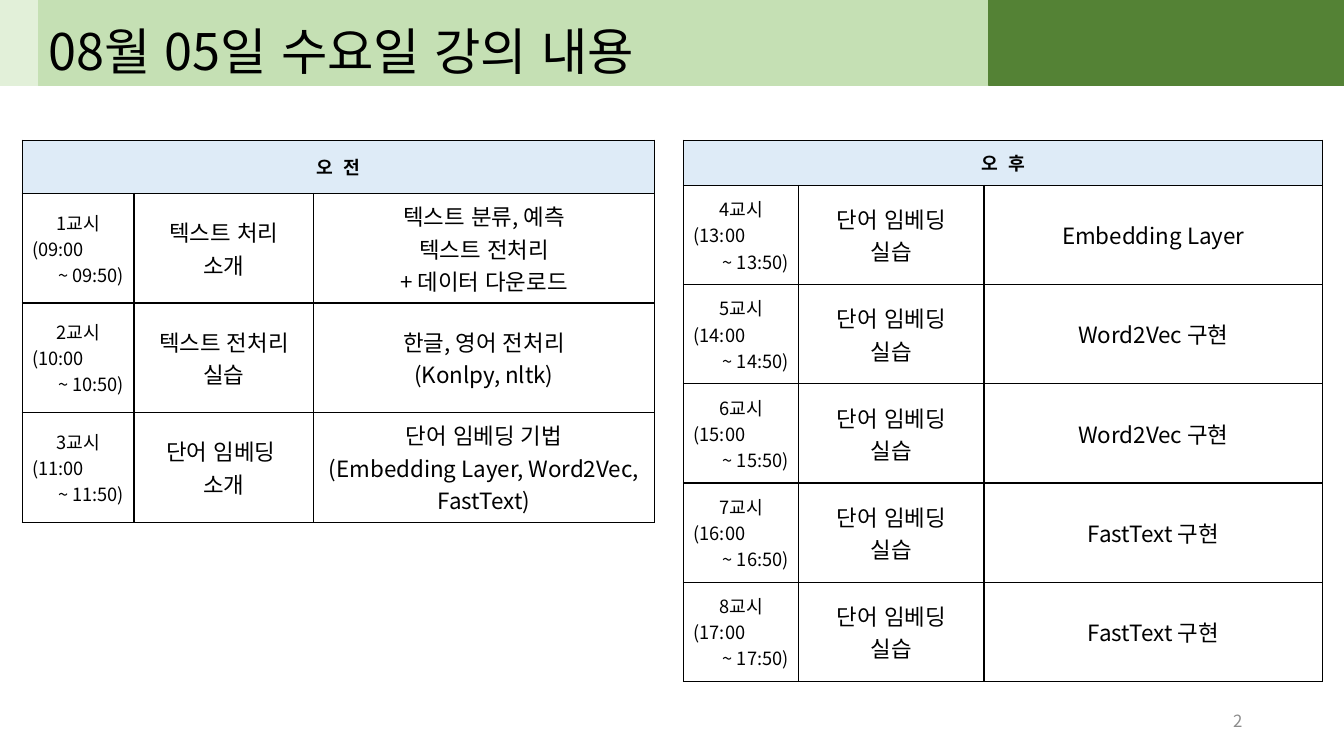
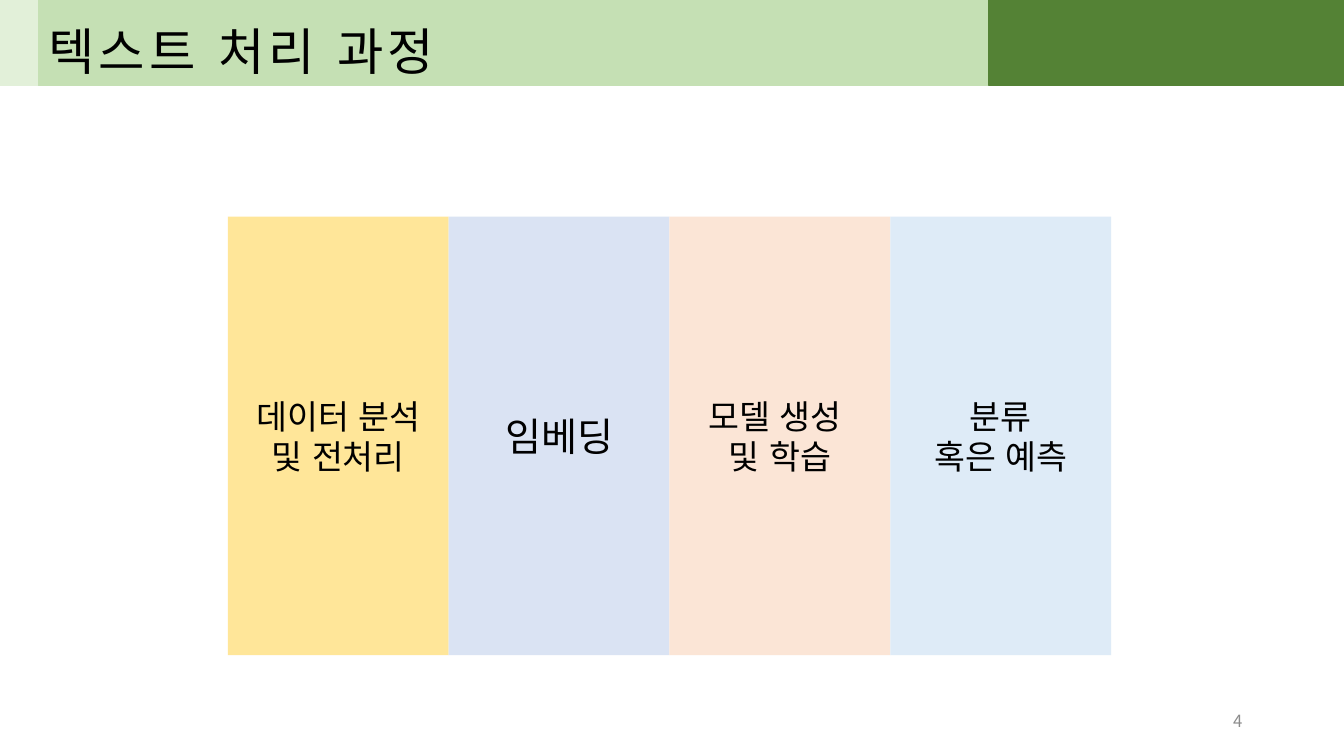
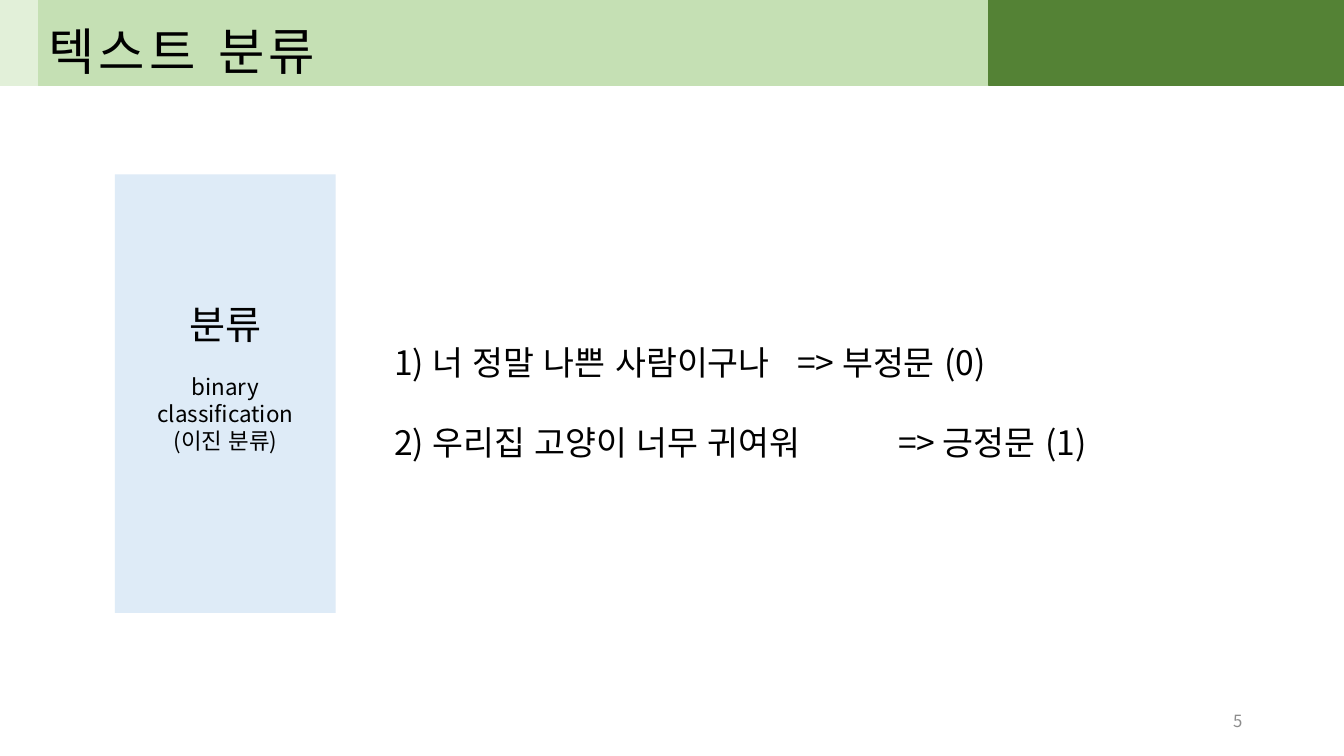
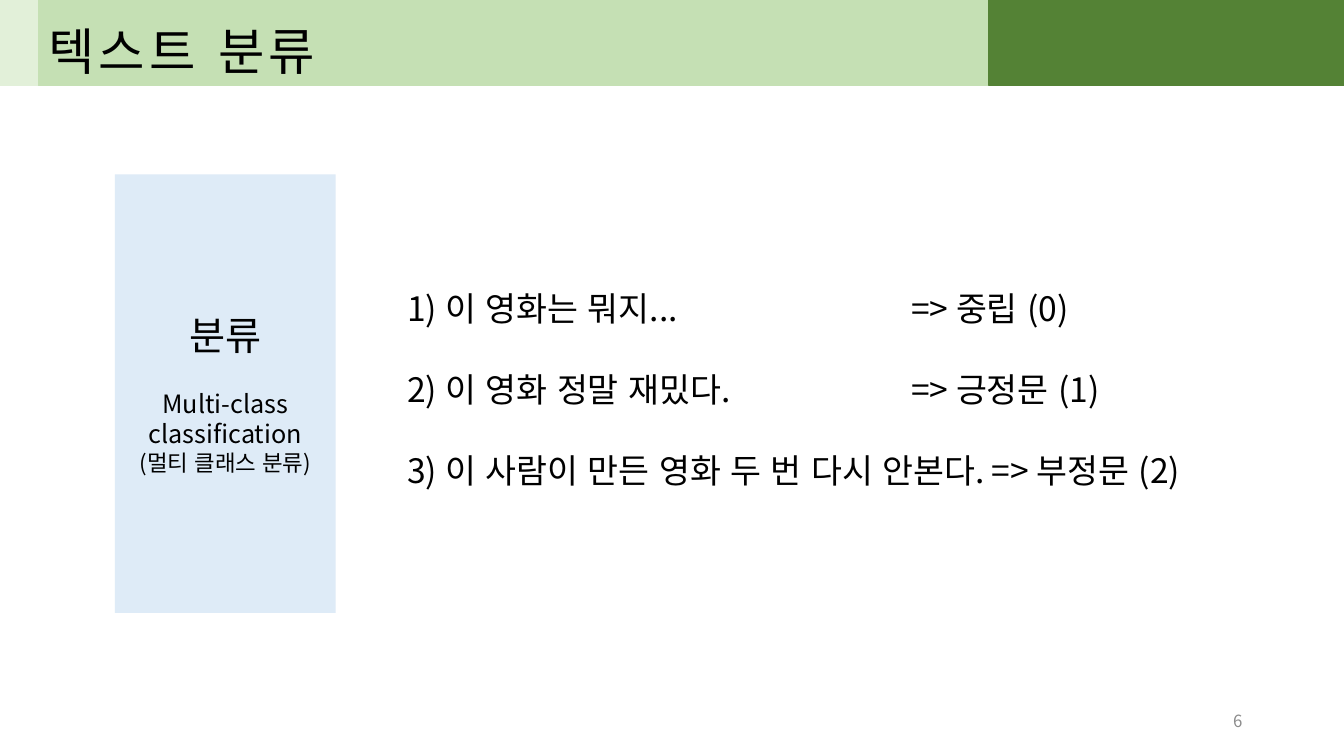
import pptx
import pptx.dml.color
import pptx.enum.shapes
import pptx.enum.text
import pptx.oxml.ns
import pptx.util
from lxml import etree

Inches = pptx.util.Inches
Pt = pptx.util.Pt
RGBColor = pptx.dml.color.RGBColor
ALIGN = pptx.enum.text.PP_ALIGN
ANCHOR = pptx.enum.text.MSO_ANCHOR
qn = pptx.oxml.ns.qn

FONT = "Noto Sans CJK KR"
BLACK = RGBColor(0x00, 0x00, 0x00)
GRAY = RGBColor(0x8C, 0x8C, 0x8C)
PALE_GREEN = RGBColor(0xE2, 0xF0, 0xD9)
LIGHT_GREEN = RGBColor(0xC5, 0xE0, 0xB4)
DARK_GREEN = RGBColor(0x54, 0x82, 0x35)
YELLOW = RGBColor(0xFF, 0xE6, 0x99)
LAVENDER = RGBColor(0xDA, 0xE3, 0xF3)
PEACH = RGBColor(0xFB, 0xE5, 0xD6)
PALE_BLUE = RGBColor(0xDE, 0xEB, 0xF7)

BANDS = [(0, 0.38, PALE_GREEN), (0.38, 9.44, LIGHT_GREEN), (9.81, 3.52, DARK_GREEN)]
BLOCK_W, BLOCK_H = 2.19, 4.35

PRACTICE = ["단어 임베딩", "실습"]
TIMETABLES = [
    {
        "head": "오 전", "at": (0.22, 1.39), "cols": (1.11, 1.78, 3.38),
        "head_h": 0.53, "height": 3.79, "first": 1, "hour": 9,
        "rows": [
            (["텍스트 처리", "소개"], ["텍스트 분류, 예측", "텍스트 전처리", "+ 데이터 다운로드"]),
            (["텍스트 전처리", "실습"], ["한글, 영어 전처리", "(Konlpy, nltk)"]),
            (["단어 임베딩 ", "소개"], ["단어 임베딩 기법", "(Embedding Layer, Word2Vec, FastText)"]),
        ],
    },
    {
        "head": "오 후", "at": (6.78, 1.39), "cols": (1.14, 1.84, 3.36),
        "head_h": 0.45, "height": 5.37, "first": 4, "hour": 13,
        "rows": [
            (PRACTICE, ["Embedding Layer"]),
            (PRACTICE, ["Word2Vec 구현"]),
            (PRACTICE, ["Word2Vec 구현"]),
            (PRACTICE, ["FastText 구현"]),
            (PRACTICE, ["FastText 구현"]),
        ],
    },
]

STEPS = [
    (YELLOW, 24, ["데이터 분석", "및 전처리"]),
    (LAVENDER, 28, ["임베딩"]),
    (PEACH, 24, ["모델 생성 ", "및 학습"]),
    (PALE_BLUE, 24, ["분류", "혹은 예측"]),
]

CLASSIFICATIONS = [
    {
        "number": 5, "gap": 19, "bottom": 0.38,
        "label": [("분류", 28), ("binary classification", 16), ("(이진 분류)", 16)],
        "at": (3.81, 2.94, 7.36, 1.72),
        "examples": [
            "너 정말 나쁜 사람이구나 \t=> 부정문 (0)",
            "우리집 고양이 너무 귀여워 \t=> 긍정문 (1)",
        ],
    },
    {
        "number": 6, "gap": 21, "bottom": 0.05,
        "label": [("분류", 28), ("Multi-class classification", 18), ("(멀티 클래스 분류)", 16)],
        "at": (3.94, 2.41, 8.77, 2.52),
        "examples": [
            "이 영화는 뭐지... \t\t\t=> 중립 (0)",
            "이 영화 정말 재밌다. \t\t=> 긍정문 (1)",
            "이 사람이 만든 영화 두 번 다시 안본다. => 부정문 (2)",
        ],
    },
]


def write(tf, i, text, size, align=ALIGN.LEFT, color=BLACK, bold=False, spc=0):
    p = tf.paragraphs[0] if i == 0 else tf.add_paragraph()
    p.alignment = align
    r = p.add_run()
    r.text = text
    r.font.size = Pt(size)
    r.font.bold = bold
    r.font.name = FONT
    r.font.color.rgb = color
    rpr = r.font._element
    rpr.set("lang", "ko-KR")
    etree.SubElement(rpr, qn("a:ea")).set("typeface", FONT)
    if spc:
        rpr.set("spc", str(spc * 100))
    return p


def add_rect(s, x, y, w, h, fill, line=None):
    sp = s.shapes.add_shape(pptx.enum.shapes.MSO_SHAPE.RECTANGLE,
                            Inches(x), Inches(y), Inches(w), Inches(h))
    sp.shadow.inherit = False
    sp.fill.solid()
    sp.fill.fore_color.rgb = fill
    if line:
        sp.line.color.rgb = line
        sp.line.width = Pt(1)
    else:
        sp.line.fill.background()
    sp.text_frame.word_wrap = True
    sp.text_frame.vertical_anchor = ANCHOR.MIDDLE
    return sp


def add_text(s, x, y, w, h):
    tf = s.shapes.add_textbox(Inches(x), Inches(y), Inches(w), Inches(h)).text_frame
    tf.word_wrap = True
    return tf


def new_slide(prs, title, number, spc=3):
    s = prs.slides.add_slide(prs.slide_layouts[6])
    tf = add_text(s, 9.42, 6.95, 3, 0.4)
    tf.vertical_anchor = ANCHOR.MIDDLE
    write(tf, 0, str(number), 12, ALIGN.RIGHT, GRAY)
    bands = [add_rect(s, x, 0, w, 0.85, color, color) for x, w, color in BANDS]
    tf = bands[1].text_frame
    tf.vertical_anchor = ANCHOR.BOTTOM
    write(tf, 0, title, 36, spc=spc)
    return s


def style_cell(cell, fill=None):
    cell.vertical_anchor = ANCHOR.MIDDLE
    tcpr = cell._tc.get_or_add_tcPr()
    for side in ("a:lnL", "a:lnR", "a:lnT", "a:lnB"):
        ln = etree.SubElement(tcpr, qn(side))
        ln.set("w", str(Pt(1)))
        solid = etree.SubElement(ln, qn("a:solidFill"))
        etree.SubElement(solid, qn("a:srgbClr")).set("val", str(BLACK))
    if fill:
        cell.fill.solid()
        cell.fill.fore_color.rgb = fill
    else:
        cell.fill.background()


def add_timetable(s, plan):
    rows, cols = plan["rows"], plan["cols"]
    row_h = (plan["height"] - plan["head_h"]) / len(rows)
    heights = [plan["head_h"]] + [row_h] * len(rows)
    x, y = plan["at"]
    table = s.shapes.add_table(len(heights), len(cols), Inches(x), Inches(y),
                               Inches(sum(cols)), Inches(plan["height"])).table
    for column, w in zip(table.columns, cols):
        column.width = Inches(w)
    for i, h in enumerate(heights):
        table.rows[i].height = Inches(h)
        for j in range(len(cols)):
            style_cell(table.cell(i, j), PALE_BLUE if i == 0 else None)
    table.cell(0, 0).merge(table.cell(0, len(cols) - 1))
    write(table.cell(0, 0).text_frame, 0, plan["head"], 13, ALIGN.CENTER, bold=True, spc=2)
    for i, topics in enumerate(rows):
        hour = plan["hour"] + i
        times = [
            (f"{plan['first'] + i}교시", ALIGN.CENTER),
            (f"({hour:02}:00", ALIGN.LEFT),
            (f"~ {hour:02}:50)", ALIGN.RIGHT),
        ]
        for n, (text, align) in enumerate(times):
            write(table.cell(i + 1, 0).text_frame, n, text, 13, align)
        for j, lines in enumerate(topics, 1):
            cell = table.cell(i + 1, j)
            cell.margin_left = cell.margin_right = cell.margin_top = cell.margin_bottom = 0
            for n, text in enumerate(lines):
                write(cell.text_frame, n, text, 16, ALIGN.CENTER)


def add_steps(s):
    for i, (color, size, lines) in enumerate(STEPS):
        sp = add_rect(s, 2.26 + i * BLOCK_W, 2.15, BLOCK_W, BLOCK_H, color)
        for n, text in enumerate(lines):
            write(sp.text_frame, n, text, size, ALIGN.CENTER)


def add_classification(s, topic):
    tf = add_rect(s, 1.14, 1.73, BLOCK_W, BLOCK_H, PALE_BLUE).text_frame
    tf.margin_bottom = Inches(topic["bottom"])
    for n, (text, size) in enumerate(topic["label"]):
        p = write(tf, n, text, size, ALIGN.CENTER)
        if n == 1:
            p.space_before = Pt(topic["gap"])
    tf = add_text(s, *topic["at"])
    for n, text in enumerate(topic["examples"]):
        p = write(tf, n, text, 24)
        p.line_spacing = 2.0
        ppr = p._p.get_or_add_pPr()
        ppr.set("marL", str(Inches(0.38)))
        ppr.set("indent", str(Inches(-0.38)))
        ppr.set("defTabSz", str(Inches(1)))
        etree.SubElement(ppr, qn("a:buFont")).set("typeface", FONT)
        etree.SubElement(ppr, qn("a:buAutoNum")).set("type", "arabicParenR")


def main():
    prs = pptx.Presentation()
    prs.slide_width, prs.slide_height = Inches(13.33), Inches(7.5)
    s = new_slide(prs, "08월 05일 수요일 강의 내용", 2, spc=0)
    for plan in TIMETABLES:
        add_timetable(s, plan)
    add_steps(new_slide(prs, "텍스트 처리 과정", 4))
    for topic in CLASSIFICATIONS:
        add_classification(new_slide(prs, "텍스트 분류", topic["number"]), topic)
    prs.save("out.pptx")


if __name__ == "__main__":
    main()
